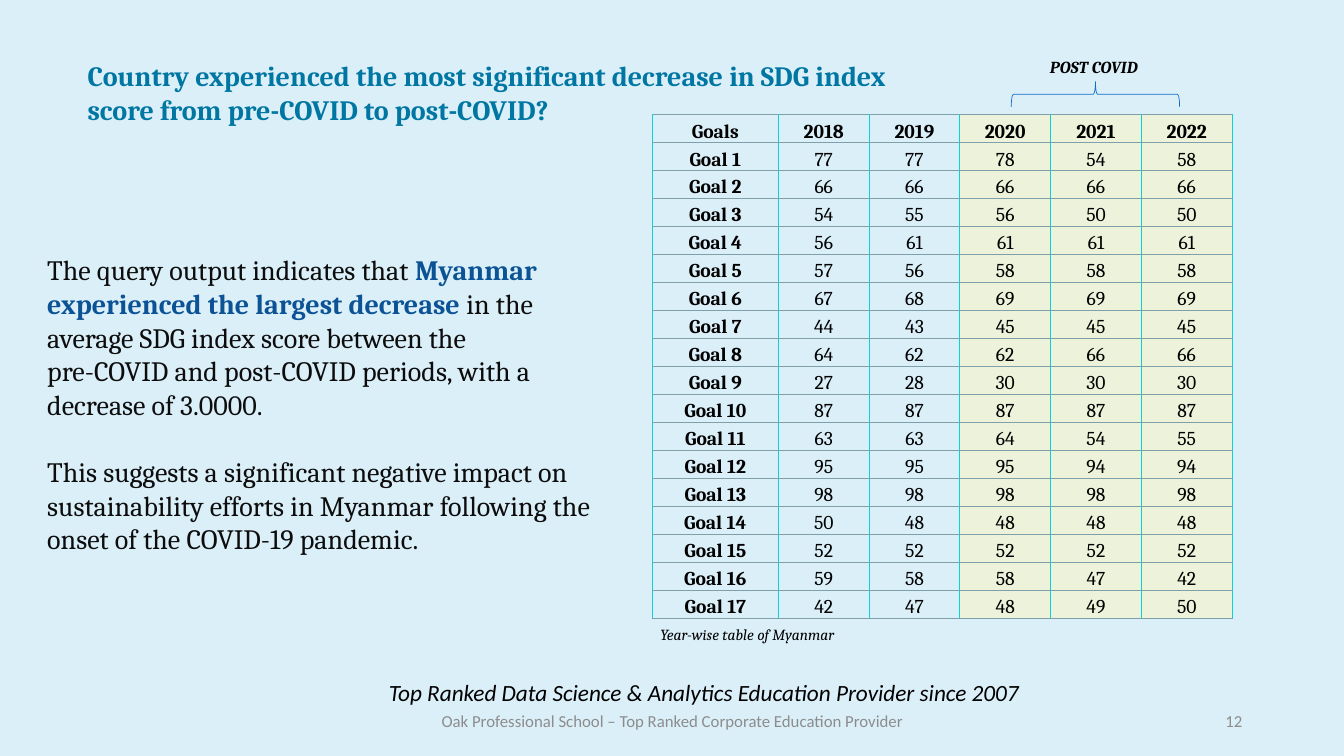
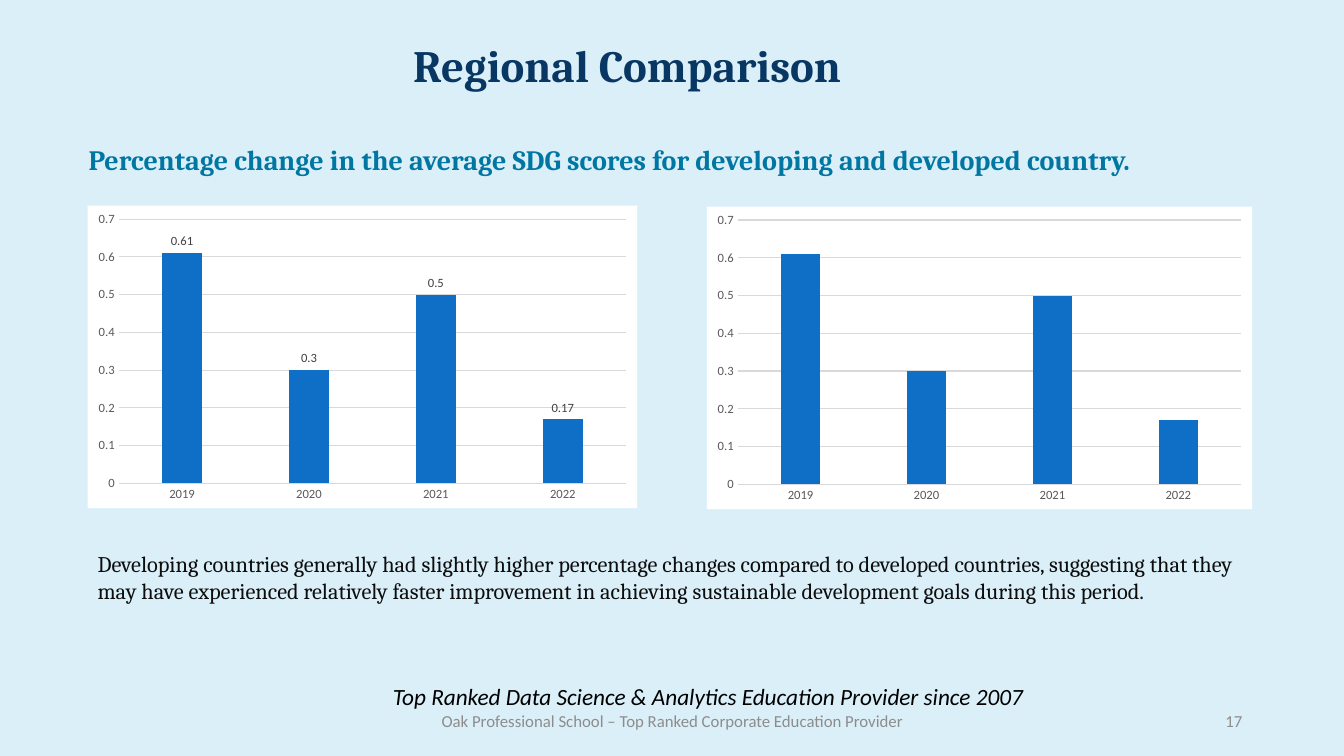
from lxml import etree
from pptx import Presentation
from pptx.chart.data import CategoryChartData
from pptx.dml.color import RGBColor
from pptx.enum import chart as ch, shapes, text
from pptx.oxml import ns, parse_xml
from pptx.util import Inches, Pt

SKY = RGBColor(0xDB, 0xEF, 0xF9)
TEAL = RGBColor(0x00, 0x76, 0xA3)
NAVY = RGBColor(0x08, 0x37, 0x63)
ROYAL = RGBColor(0x0B, 0x53, 0x94)
BLUE = RGBColor(0x0F, 0x6F, 0xC6)
LIME = RGBColor(0xED, 0xF3, 0xDB)
CYAN = RGBColor(0x0B, 0xD0, 0xD9)
STEEL = RGBColor(0x7F, 0x9F, 0xA9)
BLACK = RGBColor(0x00, 0x00, 0x00)
INK = RGBColor(0x0D, 0x0D, 0x0D)
GREY = RGBColor(0x8C, 0x8C, 0x8C)
LABEL = RGBColor(0x40, 0x40, 0x40)
TICK = RGBColor(0x59, 0x59, 0x59)
GRID = RGBColor(0xD9, 0xD9, 0xD9)

SERIF, SANS = "Cambria", "Calibri"
LEFT, MID, RIGHT = text.PP_ALIGN.LEFT, text.PP_ALIGN.CENTER, text.PP_ALIGN.RIGHT

YEARS = ["2018", "2019", "2020", "2021", "2022"]
GOALS = [
    (77, 77, 78, 54, 58), (66, 66, 66, 66, 66), (54, 55, 56, 50, 50),
    (56, 61, 61, 61, 61), (57, 56, 58, 58, 58), (67, 68, 69, 69, 69),
    (44, 43, 45, 45, 45), (64, 62, 62, 66, 66), (27, 28, 30, 30, 30),
    (87, 87, 87, 87, 87), (63, 63, 64, 54, 55), (95, 95, 95, 94, 94),
    (98, 98, 98, 98, 98), (50, 48, 48, 48, 48), (52, 52, 52, 52, 52),
    (59, 58, 58, 47, 42), (42, 47, 48, 49, 50),
]
CHANGE = [0.61, 0.3, 0.5, 0.17]


def style(font, size, color, name=SERIF, bold=False, italic=False):
    font.size, font.name = Pt(size), name
    font.bold, font.italic = bold, italic
    font.color.rgb = color


def write(slide, box, paras, size, color, align=LEFT, middle=False, **face):
    """Add a text box; each paragraph is a list of strings or (string, color) bold runs."""
    frame = slide.shapes.add_textbox(*map(Inches, box)).text_frame
    frame.word_wrap = True
    if middle:
        frame.vertical_anchor = text.MSO_ANCHOR.MIDDLE
    for i, parts in enumerate(paras):
        para = frame.paragraphs[0] if i == 0 else frame.add_paragraph()
        para.alignment = align
        style(para.font, size, color, **face)
        for part in parts:
            run = para.add_run()
            if isinstance(part, tuple):
                run.text, run.font.color.rgb = part
                run.font.bold = True
            else:
                run.text = part
    return frame


def heading(slide, box, words):
    write(slide, box, [[words]], 20, TEAL, bold=True)


def add_page(deck, number, shift=0):
    """Add a slide with its tagline (moved by shift), footer and page number."""
    slide = deck.slides.add_slide(deck.slide_layouts[6])
    write(slide, (2.26 + shift, 6.7 + shift, 9.44, 0.33),
          [["Top Ranked Data Science & Analytics Education Provider since 2007"]],
          16.6, BLACK, MID, True, name=SANS, italic=True)
    write(slide, (4.26, 6.95, 4.82, 0.4),
          [["Oak Professional School – Top Ranked Corporate Education Provider"]],
          12, GREY, MID, True, name=SANS)
    write(slide, (9.42, 6.95, 3, 0.4), [[str(number)]], 12, GREY, RIGHT, True, name=SANS)
    return slide


def border(cell):
    props = cell._tc.get_or_add_tcPr()
    for side, color, width in (("L", CYAN, 1), ("R", CYAN, 1),
                               ("T", STEEL, 0.75), ("B", STEEL, 0.75)):
        line = etree.SubElement(props, ns.qn(f"a:ln{side}"), w=str(Pt(width)))
        fill = etree.SubElement(line, ns.qn("a:solidFill"))
        etree.SubElement(fill, ns.qn("a:srgbClr"), val=str(color))


def fill_cell(cell, value, bold, post):
    cell.text = str(value)
    cell.vertical_anchor = text.MSO_ANCHOR.BOTTOM
    cell.margin_left = cell.margin_right = cell.margin_top = Inches(0.01)
    cell.margin_bottom = 0
    para = cell.text_frame.paragraphs[0]
    para.alignment = MID
    style(para.font, 14, BLACK, bold=bold)
    border(cell)
    if post:
        cell.fill.solid()
        cell.fill.fore_color.rgb = LIME
    else:
        cell.fill.background()


def add_scores(slide):
    rows = [["Goals", *YEARS]]
    rows += [[f"Goal {n}", *vals] for n, vals in enumerate(GOALS, 1)]
    high = Inches(5)
    table = slide.shapes.add_table(len(rows), len(rows[0]), Inches(6.47), Inches(1.14),
                                   Inches(5.75), high).table
    table.first_row = table.horz_banding = False
    for c, col in enumerate(table.columns):
        col.width = Inches(0.9 if c else 1.25)
    for r, values in enumerate(rows):
        table.rows[r].height = high // len(rows)
        for c, value in enumerate(values):
            fill_cell(table.cell(r, c), value, r == 0 or c == 0, c > 2)


def add_brace(slide, box):
    brace = slide.shapes.add_shape(shapes.MSO_SHAPE.RIGHT_BRACE, *map(Inches, box))
    brace.rotation = 270
    brace.shadow.inherit = False
    brace.fill.background()
    brace.line.color.rgb = BLUE
    brace.line.width = Pt(0.5)


def add_bars(slide, box, labels=False):
    data = CategoryChartData()
    data.categories = YEARS[1:]
    data.add_series("Series 1", CHANGE)
    chart = slide.shapes.add_chart(ch.XL_CHART_TYPE.COLUMN_CLUSTERED,
                                   *map(Inches, box), data).chart
    style(chart.font, 10, BLACK, SANS)
    chart.has_legend = chart.has_title = False
    chart.element.find(ns.qn("c:chart")).addnext(parse_xml(
        f'<c:spPr {ns.nsdecls("c", "a")}><a:solidFill><a:srgbClr val="FFFFFF"/>'
        '</a:solidFill><a:ln><a:noFill/></a:ln></c:spPr>'))

    cats, vals = chart.category_axis, chart.value_axis
    for axis in (cats, vals):
        axis.major_tick_mark = axis.minor_tick_mark = ch.XL_TICK_MARK.NONE
        style(axis.tick_labels.font, 9, TICK, SANS)
    vals.minimum_scale, vals.maximum_scale, vals.major_unit = 0, 0.7, 0.1
    vals.format.line.fill.background()
    for line in (cats.format.line, vals.major_gridlines.format.line):
        line.color.rgb = GRID
        line.width = Pt(0.75)

    plot = chart.plots[0]
    plot.gap_width, plot.overlap = 219, -27
    plot.vary_by_categories = False
    fill = plot.series[0].format.fill
    fill.solid()
    fill.fore_color.rgb = BLUE
    if labels:
        tags = plot.series[0].data_labels
        tags.show_value = True
        tags.position = ch.XL_LABEL_POSITION.OUTSIDE_END
        style(tags.font, 9, LABEL, SANS)


def add_decrease(deck):
    slide = add_page(deck, 12)
    add_scores(slide)
    heading(slide, (0.77, 0.53, 8.6, 0.78),
            "Country experienced the most significant decrease in SDG index score "
            "from pre-COVID to post-COVID?")
    add_brace(slide, (10.74, 0.1, 0.25, 1.67))
    write(slide, (9.87, 0.51, 1.96, 0.3), [["POST COVID"]], 12, BLACK, MID,
          bold=True, italic=True)
    body = write(slide, (0.37, 2.46, 5.62, 3.14), [
        ["The query output indicates that ",
         ("Myanmar experienced the largest decrease", ROYAL), " in the"],
        ["average SDG index score between the"],
        ["pre-COVID and post-COVID periods, with a decrease of 3.0000."],
        ["This suggests a significant negative impact on sustainability efforts in "
         "Myanmar following the onset of the COVID-19 pandemic."],
    ], 20, INK)
    body.paragraphs[-1].space_before = Pt(24)
    write(slide, (6.45, 6.15, 4.41, 0.29), [["Year-wise table of Myanmar"]], 11, BLACK,
          italic=True)


def add_regions(deck):
    slide = add_page(deck, 17, 0.04)
    write(slide, (4, 0.33, 9.23, 0.64), [["Regional Comparison"]], 32, NAVY, bold=True)
    heading(slide, (0.78, 1.36, 11.27, 0.44),
            "Percentage change in the average SDG scores for developing and "
            "developed country.")
    add_bars(slide, (0.87, 2.04, 5.45, 3), labels=True)
    add_bars(slide, (7.01, 2.05, 5.41, 3))
    write(slide, (0.87, 5.41, 11.7, 0.64), [[
        "Developing countries generally had slightly higher percentage changes compared "
        "to developed countries, suggesting that they may have experienced relatively "
        "faster improvement in achieving sustainable development goals during this "
        "period."]], 16, INK)


def main():
    deck = Presentation()
    deck.slide_width, deck.slide_height = Inches(13.33), Inches(7.5)
    back = deck.slide_master.background.fill
    back.solid()
    back.fore_color.rgb = SKY
    add_decrease(deck)
    add_regions(deck)
    deck.save("out.pptx")


if __name__ == "__main__":
    main()
